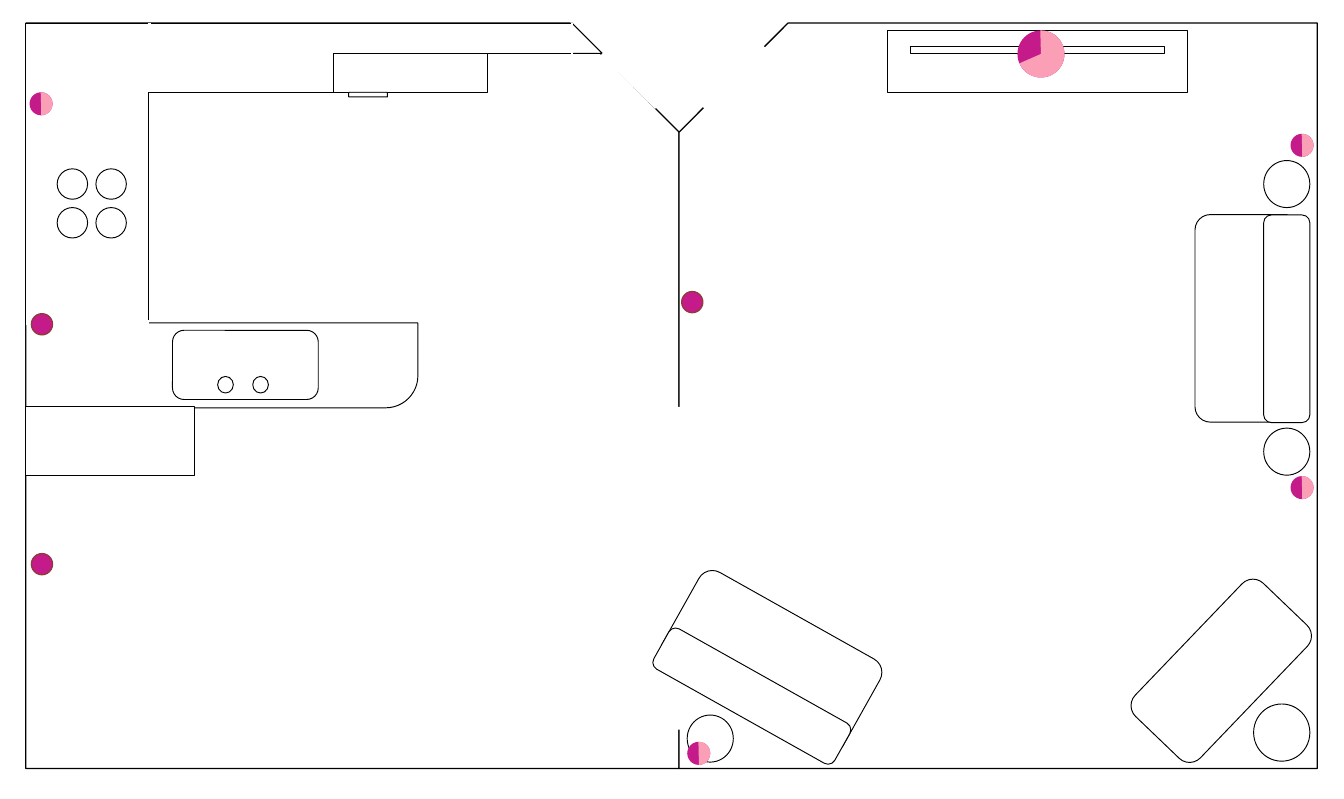
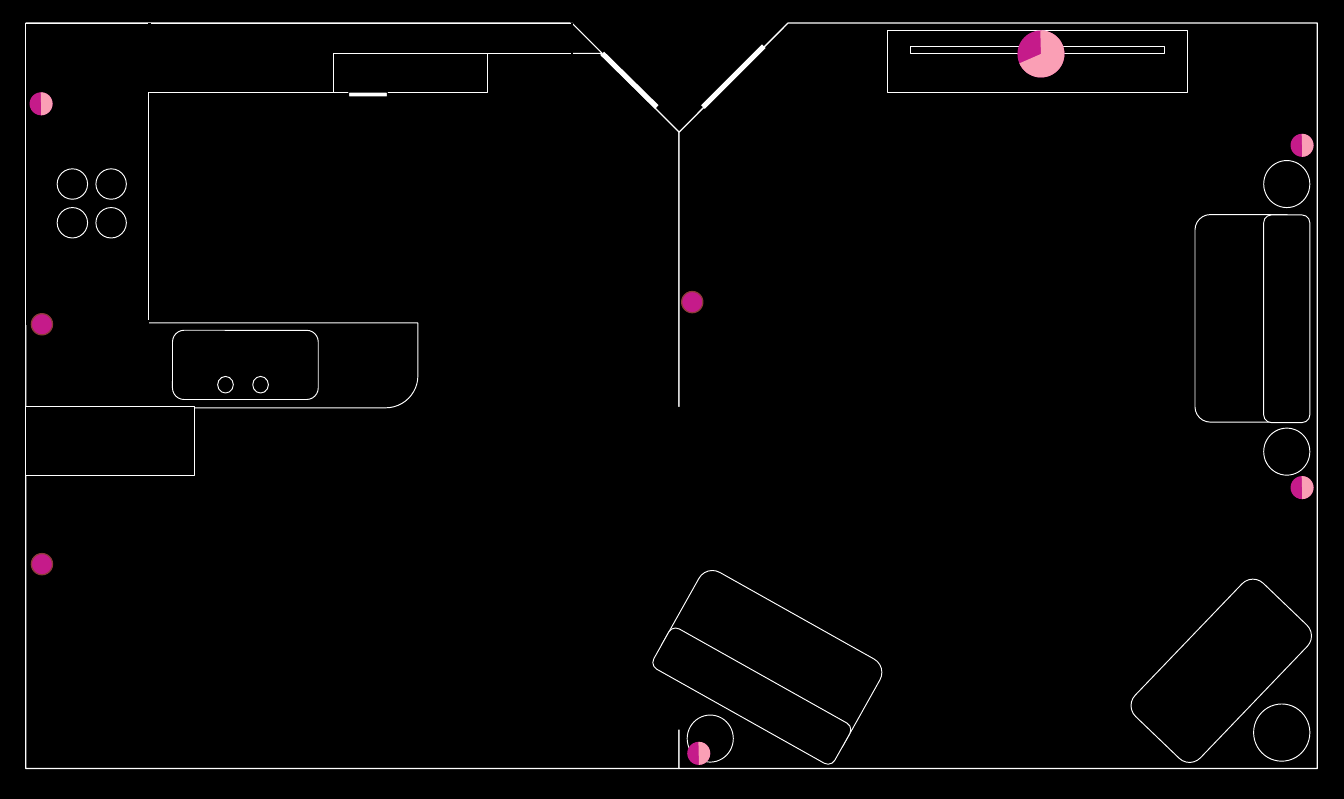
from itertools import product

from lxml.etree import SubElement
from pptx import Presentation
from pptx.dml.color import RGBColor
from pptx.enum.shapes import MSO_CONNECTOR, MSO_SHAPE
from pptx.oxml.ns import qn
from pptx.util import Inches, Pt

SLIDE_SIZE = (14.57, 8.66)
BASE = {"white": "FFFFFF", "black": "000000",
        "magenta": "C51B8A", "pink": "FA9FB5", "rim": "8E3B39"}
THEMES = [
    BASE | {"paper": BASE["white"], "ink": BASE["black"]},
    BASE | {"paper": BASE["black"], "ink": BASE["white"]},
]

RECT, ROUND, OVAL = MSO_SHAPE.RECTANGLE, MSO_SHAPE.ROUNDED_RECTANGLE, MSO_SHAPE.OVAL
TWO_ROUND, ONE_ROUND = MSO_SHAPE.ROUND_2_SAME_RECTANGLE, MSO_SHAPE.ROUND_1_RECTANGLE
SNIP, TRIANGLE, PIE = MSO_SHAPE.SNIP_1_RECTANGLE, MSO_SHAPE.RIGHT_TRIANGLE, MSO_SHAPE.PIE
LINE = MSO_CONNECTOR.STRAIGHT

ROOMS = [
    (SNIP, (0.28, 0.25, 7.08, 8.08), {"width": 1}),
    (SNIP, (6.78, 0.83, 8.08, 6.92), {"width": 1, "rotation": 270, "adjust": [0.171]}),
]
TELEVISION = [
    (RECT, (9.62, 0.33, 3.25, 0.67), {}),
    (RECT, (9.87, 0.5, 2.75, 0.08), {}),
]
SIDE_TABLES = [
    (OVAL, box, {}) for box in
    [(13.7, 1.74, 0.5, 0.51), (13.7, 4.64, 0.5, 0.51),
     (7.45, 7.75, 0.5, 0.51), (13.59, 7.63, 0.61, 0.62)]
]
WALL_SOFA = [
    (TWO_ROUND, (12.33, 2.95, 2.25, 1), {"rotation": 270}),
    (ROUND, (13.7, 2.33, 0.5, 2.25), {}),
]
PASSAGE = (RECT, (7.32, 4.41, 0.1, 3.5), {"line": None})
COUNTERS = [
    (RECT, (0.28, 0.25, 1.33, 4.17), {}),
    (RECT, (1.62, 0.25, 4.58, 0.33), {}),
    (TRIANGLE, (6.2, 0.25, 0.33, 0.33), {}),
    (LINE, (6.2, 0.25, 6.2, 0.58), {"line": "paper", "width": 2}),
    (LINE, (6.53, 0.58, 7.12, 1.16), {"line": "white", "width": 4}),
    (ONE_ROUND, (0.28, 3.5, 4.25, 0.92), {"rotation": 180, "flip": True, "adjust": [0.379]}),
    (LINE, (1.62, 3.5, 0.28, 3.5), {"line": "paper", "width": 4}),
]
BURNERS = [
    (OVAL, (0.62 + 0.42 * column, 1.83 + 0.42 * row, 0.33, 0.33), {})
    for row, column in product(range(2), repeat=2)
]
ARMCHAIR = (ROUND, (12.24, 6.78, 2, 0.98), {"rotation": 313.8})
CUPBOARDS = [
    (RECT, (1.62, 0.58, 2, 0.42), {}),
    (LINE, (3.62, 0.58, 1.62, 0.58), {"line": "paper", "width": 4}),
    (LINE, (1.62, 0.25, 1.62, 1), {"line": "paper", "width": 2}),
    (RECT, (0.28, 4.41, 1.83, 0.74), {}),
]
ANGLED_SOFA = [
    (TWO_ROUND, (7.27, 6.61, 2.25, 1), {"rotation": 29.3}),
    (ROUND, (7.9, 6.42, 0.5, 2.25), {"rotation": 119.3}),
]
LIVING_DOOR = (LINE, (7.62, 1.16, 8.28, 0.5), {"line": "white", "width": 4})
FRIDGE = [
    (RECT, (3.62, 0.58, 1.67, 0.42), {}),
    (TWO_ROUND, (3.78, 1, 0.42, 0.05), {"fill": "white", "line": "black"}),
]
SINK = [
    (ROUND, (1.87, 3.58, 1.58, 0.75), {}),
    *[(OVAL, (left, 4.08, 0.17, 0.18), {}) for left in (2.36, 2.74)],
]

DOTS = [
    (OVAL, (left, top, 0.23, 0.23), {"fill": "magenta", "line": "rim", "width": 1})
    for left, top in [(0.34, 3.4), (0.34, 6), (7.39, 3.16)]
]
PIE_START, HALF_END, TWO_THIRDS_END = 161.05, 53.6, 93.84
SHARES = [
    [(OVAL, (left, top, size, size), {"fill": "magenta", "line": None}),
     (PIE, (left, top, size, size),
      {"fill": "pink", "line": None, "adjust": [PIE_START, end]})]
    for left, top, size, end in [
        (11.03, 0.33, 0.51, TWO_THIRDS_END),
        (13.99, 1.45, 0.25, HALF_END),
        (13.99, 5.16, 0.25, HALF_END),
        (7.45, 8.04, 0.25, HALF_END),
        (0.32, 1, 0.25, HALF_END),
    ]
]

PLAN = [
    *ROOMS, TELEVISION, *SIDE_TABLES, WALL_SOFA, PASSAGE, *COUNTERS, *BURNERS,
    ARMCHAIR, *CUPBOARDS, ANGLED_SOFA, LIVING_DOOR, *FRIDGE, *SINK, *DOTS, *SHARES,
]
DEFAULTS = {"fill": "paper", "line": "ink", "width": 0.75,
            "rotation": 0, "flip": False, "adjust": []}


def paint(fill, color):
    fill.solid()
    fill.fore_color.rgb = RGBColor.from_string(color)


def outline(part, theme, look):
    if look["line"] is None:
        part.line.fill.background()
        return
    paint(part.line.fill, theme[look["line"]])
    part.line.width = Pt(look["width"])


def draw(shapes, piece, theme):
    if isinstance(piece, list):
        group = shapes.add_group_shape()
        for member in piece:
            draw(group.shapes, member, theme)
        return
    kind, place, changes = piece
    look = DEFAULTS | changes
    place = [Inches(length) for length in place]
    if kind is LINE:
        stroke = shapes.add_connector(kind, *place)
        outline(stroke, theme, look)
        SubElement(stroke.element.spPr, qn("a:effectLst"))
        return
    shape = shapes.add_shape(kind, *place)
    shape.shadow.inherit = False
    shape.rotation = look["rotation"]
    paint(shape.fill, theme[look["fill"]])
    outline(shape, theme, look)
    for index, value in enumerate(look["adjust"]):
        shape.adjustments[index] = value
    if look["flip"]:
        shape.element.spPr.xfrm.set("flipH", "1")


def main():
    deck = Presentation()
    deck.slide_width, deck.slide_height = [Inches(side) for side in SLIDE_SIZE]
    for theme in THEMES:
        slide = deck.slides.add_slide(deck.slide_layouts[6])
        paint(slide.background.fill, theme["paper"])
        for piece in PLAN:
            draw(slide.shapes, piece, theme)
    deck.save("out.pptx")


if __name__ == "__main__":
    main()
